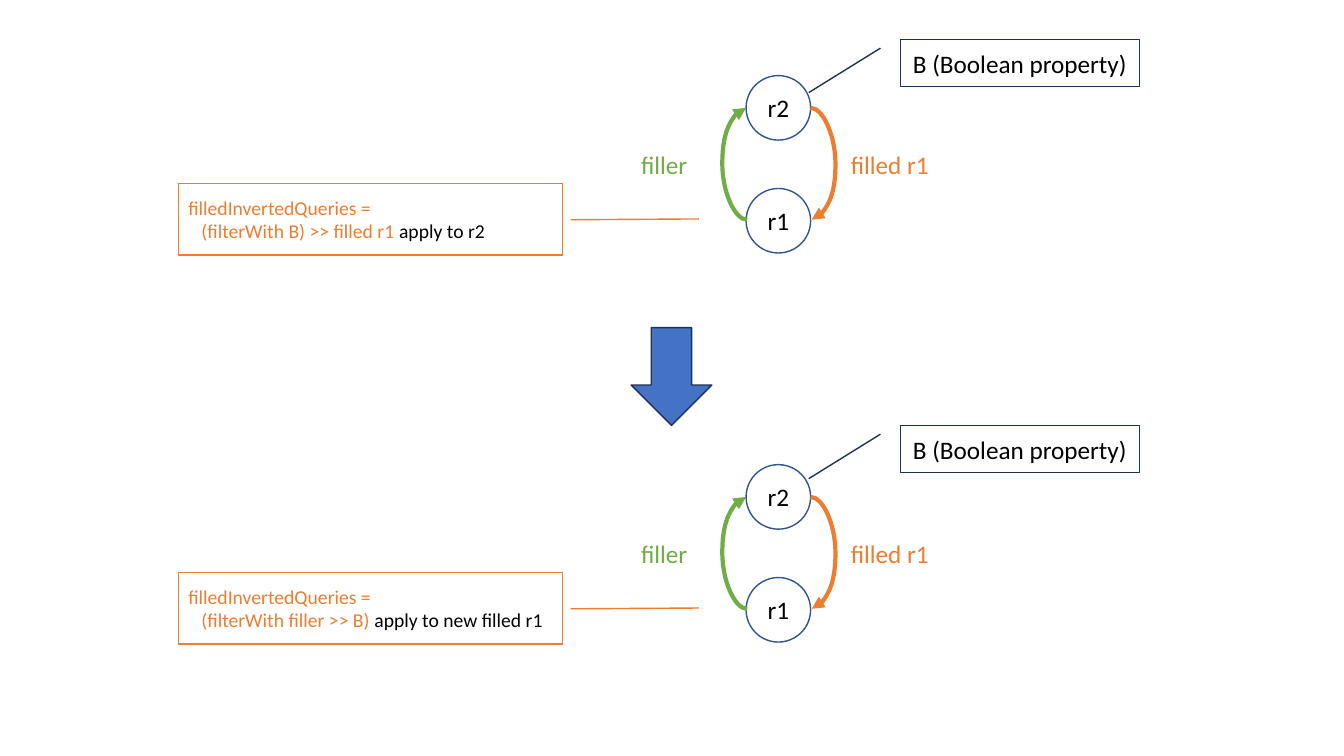
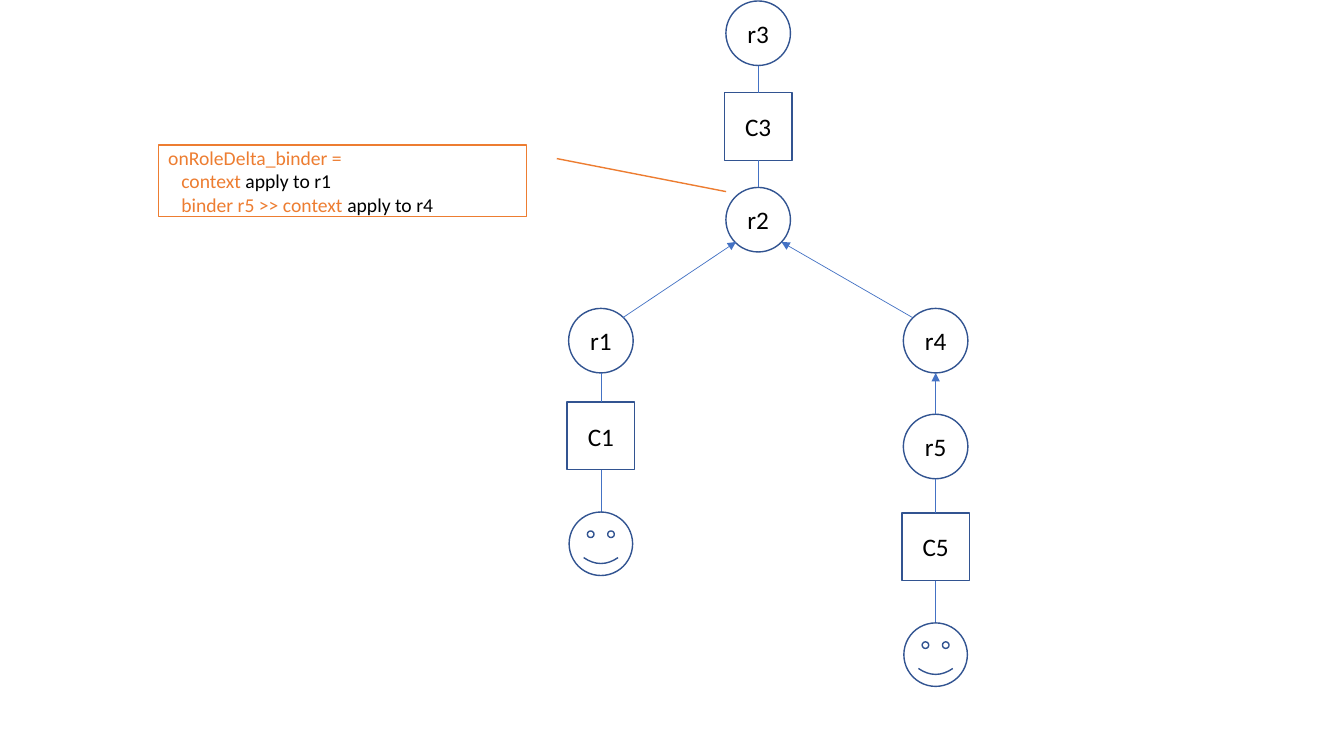
from lxml import etree
from pptx import Presentation
from pptx.dml.color import RGBColor
from pptx.enum import shapes, text
from pptx.oxml import ns
from pptx.util import Inches, Pt

BLACK = RGBColor(0x00, 0x00, 0x00)
BLUE = RGBColor(0x44, 0x72, 0xC4)
OUTLINE = RGBColor(0x32, 0x54, 0x91)
NAVY = RGBColor(0x1E, 0x32, 0x56)
GREEN = RGBColor(0x70, 0xAD, 0x47)
ORANGE = RGBColor(0xED, 0x7D, 0x31)
KIND = shapes.MSO_SHAPE
CONNECTOR = shapes.MSO_CONNECTOR
TOP, BOTTOM = 0, 2
CIRCLE, SQUARE, SMILEY = 0.64, 0.67, 0.63


class Diagram:
    font = "Calibri"
    size = 18
    note_size = 14
    indent = 0.13

    def __init__(self):
        self.deck = Presentation()
        self.deck.slide_width, self.deck.slide_height = Inches(13.33), Inches(7.5)

    def new_page(self):
        self.page = self.deck.slides.add_slide(self.deck.slide_layouts[6])

    def add_span(self, para, words, color=BLACK, size=size):
        span = para.add_run()
        span.text = words
        span.font.name, span.font.size = self.font, Pt(size)
        span.font.color.rgb = color

    def shape(self, kind, left, top, width, height, words="", line=OUTLINE, fill=None):
        box = self.page.shapes.add_shape(kind, *map(Inches, (left, top, width, height)))
        box.shadow.inherit = False
        if fill is None:
            box.fill.background()
        else:
            box.fill.solid()
            box.fill.fore_color.rgb = fill
        box.line.color.rgb, box.line.width = line, Pt(1)
        if words:
            para = box.text_frame.paragraphs[0]
            para.alignment = text.PP_ALIGN.CENTER
            self.add_span(para, words)
        return box

    def node(self, kind, center, top, size, words=""):
        return self.shape(kind, center - size / 2, top, size, size, words)

    def label(self, left, top, width, words, color):
        box = self.page.shapes.add_textbox(*map(Inches, (left, top, width, 0.4)))
        box.text_frame.word_wrap = False
        self.add_span(box.text_frame.paragraphs[0], words, color)

    def note(self, left, top, width, pointer, lines):
        box = self.shape(KIND.LINE_CALLOUT_1, left, top, width, 0.71, line=ORANGE)
        box.element.spPr.find(ns.qn("a:xfrm")).set("flipH", "1")
        for index, value in enumerate(pointer):
            box.adjustments[index] = value
        frame = box.text_frame
        for index, spans in enumerate(lines):
            para = frame.add_paragraph() if index else frame.paragraphs[0]
            para.alignment = text.PP_ALIGN.LEFT
            if index:
                para._p.get_or_add_pPr().set("marL", str(Inches(self.indent)))
            for words, color in spans:
                self.add_span(para, words, color, self.note_size)

    def connector(self, kind, start, end, color, width, arrow):
        link = self.page.shapes.add_connector(kind, *map(Inches, start + end))
        link.line.color.rgb, link.line.width = color, Pt(width)
        properties = link.element.spPr
        if arrow:
            line = properties.find(ns.qn("a:ln"))
            etree.SubElement(line, ns.qn("a:tailEnd"), type="triangle")
        etree.SubElement(properties, ns.qn("a:effectLst"))
        return link

    def link(self, start, end, arrow=False, source=None, target=None):
        line = self.connector(CONNECTOR.STRAIGHT, start, end, BLUE, 0.5, arrow)
        if source is not None:
            line.begin_connect(source, BOTTOM)
        if target is not None:
            line.end_connect(target, TOP)

    def arc(self, left, top, color, half_turn=False):
        width, height, bulge = 0.01, 1.11, 0.25
        line = self.connector(CONNECTOR.CURVE, (left, top), (left + width, top + height),
                              color, 3, True)
        properties = line.element.spPr
        if half_turn:
            properties.find(ns.qn("a:xfrm")).set("rot", str(180 * 60000))
        geometry = properties.find(ns.qn("a:prstGeom"))
        guides = geometry.find(ns.qn("a:avLst"))
        if guides is None:
            guides = etree.SubElement(geometry, ns.qn("a:avLst"))
        bend = round(bulge / width * 100000)
        etree.SubElement(guides, ns.qn("a:gd"), name="adj1", fmla=f"val {bend}")


def draw_cycle(diagram, top, property_top, query):
    for words, offset in (("r2", 0), ("r1", 1.12)):
        diagram.node(KIND.OVAL, 7.72, top + offset, CIRCLE, words)
    diagram.arc(7.4, top + 0.32, GREEN, half_turn=True)
    diagram.arc(8.04, top + 0.32, ORANGE)
    diagram.label(6.26, top + 0.68, 0.67, "filler", GREEN)
    diagram.label(8.34, top + 0.68, 0.99, "filled r1", ORANGE)
    diagram.note(1.77, top + 1.07, 3.81, (0.507, -0.021, 0.496, -0.355),
                 [[("filledInvertedQueries =", ORANGE)], query])
    diagram.shape(KIND.LINE_CALLOUT_1, 8.93, property_top, 2.37, 0.47,
                  "B (Boolean property)", NAVY)


def draw_queries(diagram):
    diagram.new_page()
    draw_cycle(diagram, 0.75, 0.39,
               [("(filterWith B) >> filled r1 ", ORANGE), ("apply to r2", BLACK)])
    draw_cycle(diagram, 4.61, 4.22,
               [("(filterWith filler >> B) ", ORANGE), ("apply to new filled r1", BLACK)])
    diagram.shape(KIND.DOWN_ARROW, 6.26, 3.25, 0.8, 0.97, line=NAVY, fill=BLUE)


def draw_context(diagram, center, role_bottom, top, words, bottom_gap):
    square = diagram.node(KIND.RECTANGLE, center, top, SQUARE, words)
    diagram.link((center, role_bottom), (center, top), target=square)
    end = top + SQUARE + bottom_gap
    diagram.link((center, top + SQUARE), (center, end), source=square)
    return end


def draw_roles(diagram):
    diagram.new_page()
    left, middle, right = 5.96, 7.52, 9.28
    roles = (("r1", left, 3.06), ("r2", middle, 1.86), ("r3", middle, 0.01),
             ("r4", right, 3.06), ("r5", right, 4.11))
    for words, center, top in roles:
        diagram.node(KIND.OVAL, center, top, CIRCLE, words)
    draw_context(diagram, middle, 0.65, 0.92, "C3", 0.27)
    for center, role_bottom, top, words in ((left, 3.7, 3.99, "C1"), (right, 4.75, 5.09, "C5")):
        face_top = draw_context(diagram, center, role_bottom, top, words, 0.42)
        diagram.node(KIND.SMILEY_FACE, center, face_top, SMILEY)
    for start, end in (((6.18, 3.15), (7.3, 2.4)), ((9.05, 3.15), (7.75, 2.4)),
                       ((right, 4.11), (right, 3.7))):
        diagram.link(start, end, arrow=True)
    diagram.note(1.57, 1.44, 3.65, (0.188, -0.083, 0.649, -0.543),
                 [[("onRoleDelta_binder =", ORANGE)],
                  [("context ", ORANGE), ("apply to r1", BLACK)],
                  [("binder r5 >> context", ORANGE), (" apply to r4", BLACK)]])


def main():
    diagram = Diagram()
    draw_queries(diagram)
    draw_roles(diagram)
    diagram.deck.save("out.pptx")


if __name__ == "__main__":
    main()
